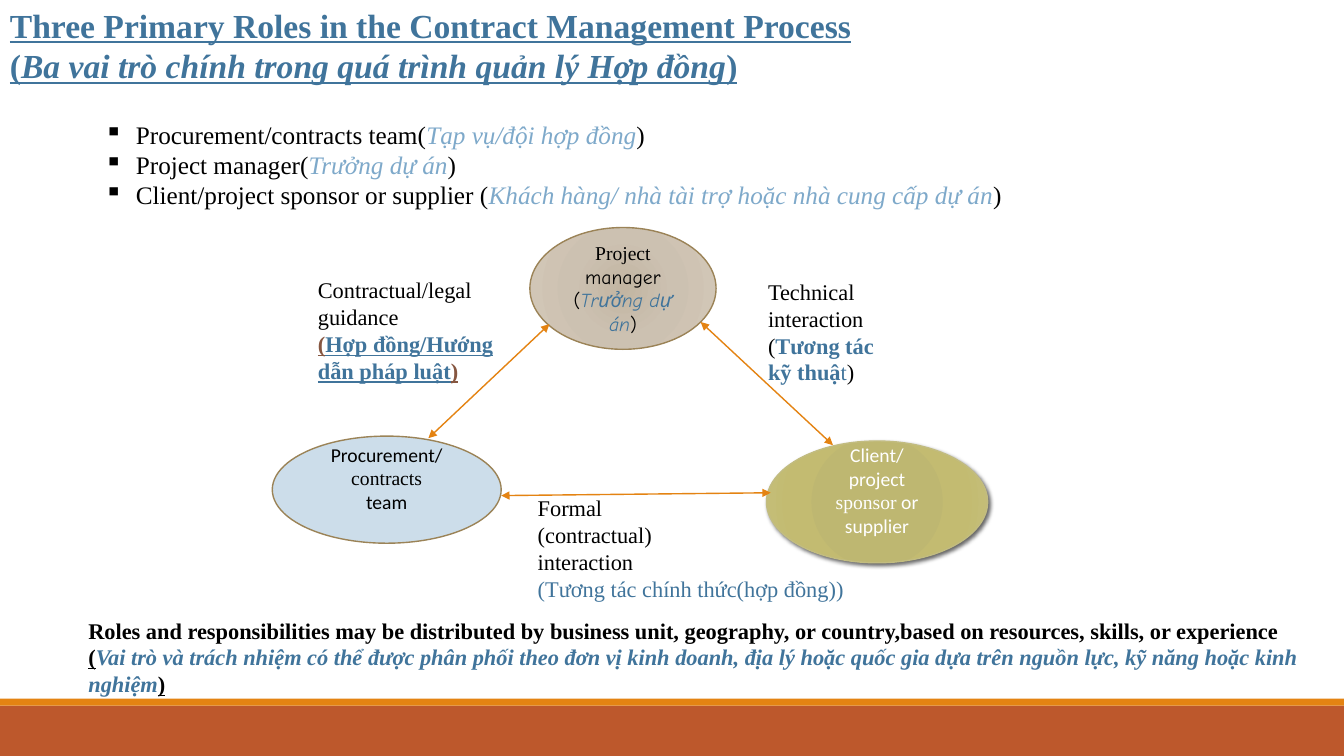
from dataclasses import dataclass

from lxml import etree
from pptx import Presentation
from pptx.dml.color import RGBColor
from pptx.enum.shapes import MSO_CONNECTOR, MSO_SHAPE
from pptx.enum.text import MSO_ANCHOR, PP_ALIGN
from pptx.oxml import parse_xml
from pptx.oxml.ns import qn
from pptx.util import Pt

RECT, OVAL = MSO_SHAPE.RECTANGLE, MSO_SHAPE.OVAL
STRAIGHT = MSO_CONNECTOR.STRAIGHT
TOP, MIDDLE = MSO_ANCHOR.TOP, MSO_ANCHOR.MIDDLE
LEFT, CENTER = PP_ALIGN.LEFT, PP_ALIGN.CENTER
NS = 'xmlns:a="http://schemas.openxmlformats.org/drawingml/2006/main"'


@dataclass(frozen=True)
class Theme:
    serif: str = "Times New Roman"
    sans: str = "Calibri"
    comic: str = "Comic Neue"
    title: int = 24
    bullet: int = 18
    body: int = 16
    node: int = 14
    black: str = "000000"
    white: str = "FFFFFF"
    blue: str = "40749B"
    light_blue: str = "7EA9CA"
    brown: str = "865640"
    orange: str = "E48312"
    rust: str = "BD582C"
    sky: str = "CCDDEA"
    outline: str = "9B8357"
    olive_line: str = "C2BC80"
    tan: tuple = ((0, "C2B5A2"), (45, "CCC1B1"), (100, "D4C8B8"))
    olive: tuple = ((0, "BEB76E"), (34, "BEB771"), (70, "C3BB71"), (100, "C5BF7D"))


T = Theme()


def rgb(value):
    return RGBColor.from_string(value)


def add_run(p, text, color, **formats):
    for i, line in enumerate(text.split("\n")):
        if i:
            p.add_line_break()
        if line:
            r = p.add_run()
            r.text = line
            r.font.color.rgb = rgb(color)
            for name, value in formats.items():
                setattr(r.font, name, value)


def fill_text(sp, paragraphs, size, color, font=T.serif, align=LEFT, anchor=TOP, **frame):
    tf = sp.text_frame
    for name, value in {"word_wrap": True, "vertical_anchor": anchor, **frame}.items():
        setattr(tf, name, value)
    for i, runs in enumerate(paragraphs):
        p = tf.paragraphs[0] if i == 0 else tf.add_paragraph()
        p.alignment = align
        for text, formats in runs:
            add_run(p, text, **{"color": color, "name": font, "size": Pt(size), **formats})
    return tf


def add_text(s, box, paragraphs, size, color=T.black):
    sp = s.shapes.add_textbox(*map(Pt, box))
    return fill_text(sp, paragraphs, size, color)


def add_shape(s, kind, box, fill, line=None):
    sp = s.shapes.add_shape(kind, *map(Pt, box))
    sp.shadow.inherit = False
    if isinstance(fill, str):
        sp.fill.solid()
        sp.fill.fore_color.rgb = rgb(fill)
    else:
        stops = "".join(f'<a:gs pos="{pos * 1000}"><a:srgbClr val="{c}"/></a:gs>' for pos, c in fill)
        geometry = sp._element.spPr.find(qn("a:prstGeom"))
        geometry.addnext(parse_xml(
            f'<a:gradFill {NS}><a:gsLst>{stops}</a:gsLst><a:path path="circle">'
            '<a:fillToRect l="100000" t="100000" r="100000" b="100000"/></a:path></a:gradFill>'))
    if line:
        sp.line.color.rgb = rgb(line)
        sp.line.width = Pt(1)
    else:
        sp.line.fill.background()
    return sp


def add_shadow(sp):
    effects = sp._element.spPr.find(qn("a:effectLst"))
    effects.append(parse_xml(
        f'<a:outerShdw {NS} blurRad="{Pt(3)}" dist="{Pt(2)}" dir="2700000" algn="ctr" rotWithShape="0">'
        f'<a:srgbClr val="{T.black}"><a:alpha val="60000"/></a:srgbClr></a:outerShdw>'))


def add_arrow(s, start, end):
    cn = s.shapes.add_connector(STRAIGHT, *map(Pt, start + end))
    cn.line.color.rgb = rgb(T.orange)
    cn.line.width = Pt(1)
    for tag in ("a:headEnd", "a:tailEnd"):
        etree.SubElement(cn.line._get_or_add_ln(), qn(tag), type="triangle")
    etree.SubElement(cn._element.spPr, qn("a:effectLst"))


def footer_bars(s, box):
    x, y, w, h = box
    stripe = 5
    add_shape(s, RECT, (x, y + stripe, w, h - stripe), T.rust)
    add_shape(s, RECT, (x, y, w, stripe), T.orange)


def title(s, box):
    style = {"bold": True, "underline": True}
    add_text(s, box, [
        [("Three Primary Roles in the Contract Management Process", style)],
        [("(", style),
         ("Ba vai trò chính trong quá trình quản lý Hợp đồng", {**style, "italic": True}),
         (")", style)],
    ], T.title, T.blue)


def role_list(s, box):
    roles = [
        ("Procurement/contracts team(", "Tạp vụ/đội hợp đồng"),
        ("Project manager(", "Trưởng dự án"),
        ("Client/project sponsor or supplier (", "Khách hàng/ nhà tài trợ hoặc nhà cung cấp dự án"),
    ]
    translated = {"color": T.light_blue, "italic": True}
    tf = add_text(s, box, [[(en, {}), (vi, translated), (")", {})] for en, vi in roles], T.bullet)
    for p in tf.paragraphs:
        pPr = p._p.get_or_add_pPr()
        pPr.set("marL", str(Pt(22.5)))
        pPr.set("indent", str(Pt(-22.5)))
        etree.SubElement(pPr, qn("a:buChar"), char="▪")


def diagram(s, box):
    x, y, w, h = box
    blue, serif = {"color": T.blue}, {"name": T.serif}
    bold_blue = {**blue, "bold": True}
    marked = {"bold": True, "underline": True}
    raised = {"margin_bottom": Pt(20.5)}

    nodes = [
        ((184, 0, 133, 87), T.tan, T.outline, T.black, T.comic, {},
         [[("Project\n", serif), ("manager", {})],
          [("(", {}), ("Trưởng dự án", {**blue, "italic": True}), (")", {})]]),
        ((0, 149, 163.5, 76.5), T.sky, T.outline, T.black, T.sans, raised,
         [[("Procurement/\n", {}), ("contracts\n", serif), ("team", {})]]),
        ((w - 158, 152.5, 158, 87), T.olive, T.olive_line, T.white, T.sans, raised,
         [[("Client/\nproject\n", {}), ("sponsor", serif), (" or\nsupplier", {})]]),
    ]
    for (dx, dy, nw, nh), fill, line, color, font, frame, paragraphs in nodes:
        sp = add_shape(s, OVAL, (x + dx, y + dy, nw, nh), fill, line)
        fill_text(sp, paragraphs, T.node, color, font, CENTER, MIDDLE, **frame)
    add_shadow(sp)

    for (x1, y1), (x2, y2) in [((198, 69), (111.5, 150.5)),
                               ((400.5, 155.5), (306, 67.5)),
                               ((356, 189.5), (163.5, 191.5))]:
        add_arrow(s, (x + x1, y + y1), (x + x2, y + y2))

    labels = [
        ((25.5, 31.5, 141), [
            [("Contractual/legal\nguidance", {})],
            [("(", {**marked, "color": T.brown}),
             ("Hợp đồng/Hướng dẫn pháp luật", {**marked, **blue}),
             (")", {**marked, "color": T.brown})]]),
        ((347, 32.5, 106.5), [
            [("Technical\ninteraction", {})],
            [("(", {}), ("Tương tác kỹ thuậ", bold_blue), ("t", blue), (")", {})]]),
        ((182.5, h - 85, 269.5), [
            [("Formal\n(contractual)\ninteraction", {})],
            [("(Tương tác chính thức(hợp đồng))", blue)]]),
    ]
    for (dx, dy, lw), paragraphs in labels:
        add_text(s, (x + dx, y + dy, lw, 85), paragraphs, T.body)


def closing_note(s, box):
    bold = {"bold": True}
    marked = {**bold, "underline": True}
    add_text(s, box, [
        [("Roles and responsibilities may be distributed by business unit, geography, or country,"
          "based on resources, skills, or experience", bold)],
        [("(", marked),
         ("Vai trò và trách nhiệm có thể được phân phối theo đơn vị kinh doanh, địa lý hoặc quốc gia "
          "dựa trên nguồn lực, kỹ năng hoặc kinh nghiệm", {**bold, "color": T.blue, "italic": True}),
         (")", marked)],
    ], T.body)


def main():
    prs = Presentation()
    prs.slide_width, prs.slide_height = Pt(960), Pt(540)
    s = prs.slides.add_slide(prs.slide_layouts[6])
    footer_bars(s, (0, 499, 960, 41))
    closing_note(s, (56, 437, 887, 65.5))
    diagram(s, (194.5, 162.5, 511, 272))
    title(s, (0, 0, 685, 94))
    role_list(s, (67.5, 81.5, 754.5, 94))
    prs.save("out.pptx")


if __name__ == "__main__":
    main()
